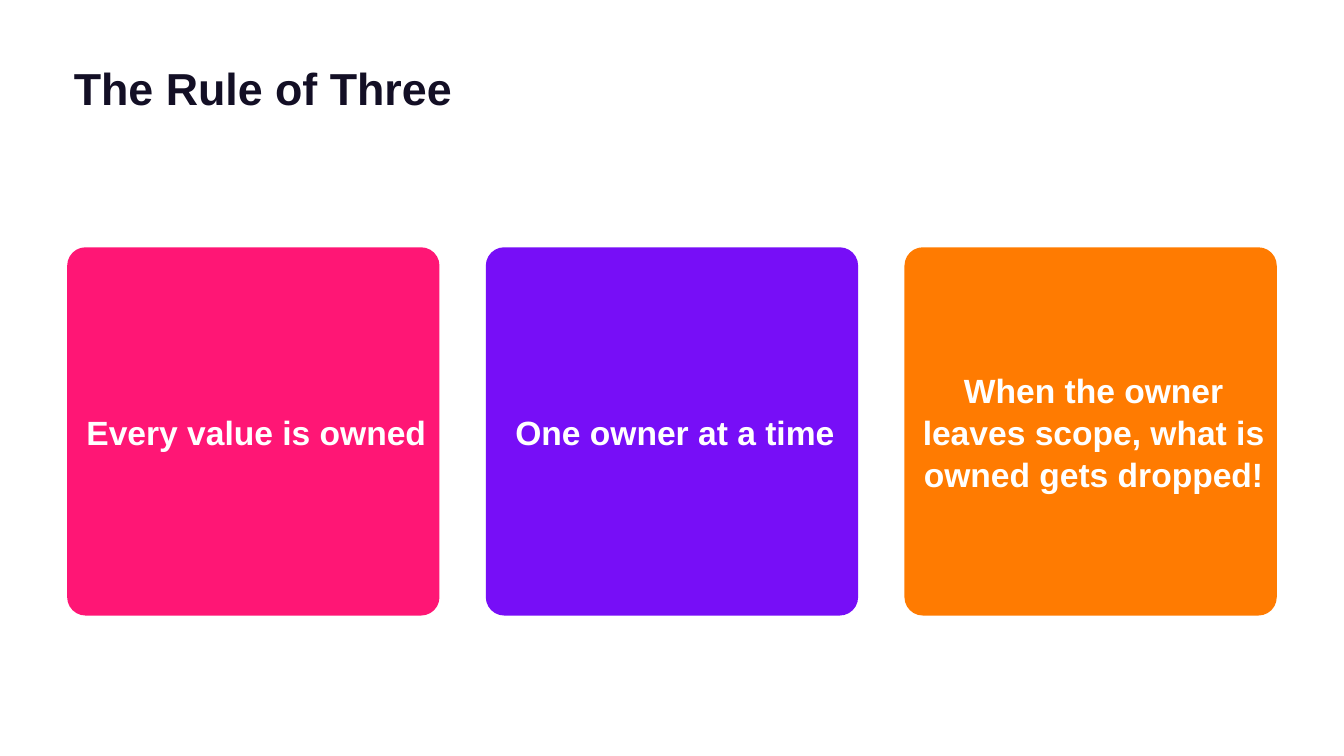
from dataclasses import dataclass

from pptx import Presentation
from pptx.dml.color import RGBColor
from pptx.enum.shapes import MSO_SHAPE
from pptx.enum.text import MSO_ANCHOR, PP_ALIGN
from pptx.util import Pt

ROUND = MSO_SHAPE.ROUNDED_RECTANGLE
TOP, MIDDLE = MSO_ANCHOR.TOP, MSO_ANCHOR.MIDDLE
LEFT, CENTER = PP_ALIGN.LEFT, PP_ALIGN.CENTER

EDGE, WIDE, GAP = 72, 398.88, 49.68
ROW, HIGH = 264.96, 394.56


@dataclass
class Card:
    text: str
    fill: str


CARDS = [
    Card("Every value is owned", "FF1675"),
    Card("One owner at a time", "770EF7"),
    Card("When the owner leaves scope, what is owned gets dropped!", "FF7B01"),
]


def color(code: str) -> RGBColor:
    return RGBColor.from_string(code)


def apply(item, values: dict) -> None:
    for name, value in values.items():
        setattr(item, name, value)


def write(shape, text: str, size: float, ink: str, frame: dict, para: dict) -> None:
    body = shape.text_frame
    apply(body, {"word_wrap": True, **frame})
    line = body.paragraphs[0]
    apply(line, para)
    run = line.add_run()
    run.text = text
    apply(run.font, {"name": "Arial", "size": Pt(size), "bold": True})
    run.font.color.rgb = color(ink)


def draw_card(slide, card: Card, left: float) -> None:
    shape = slide.shapes.add_shape(ROUND, Pt(left), Pt(ROW), Pt(WIDE), Pt(HIGH))
    shape.adjustments[0] = 0.05
    shape.shadow.inherit = False
    shape.fill.solid()
    shape.fill.fore_color.rgb = color(card.fill)
    shape.line.fill.background()
    frame = {"vertical_anchor": MIDDLE, "margin_left": Pt(12), "margin_right": Pt(5.5)}
    write(shape, card.text, 36, "FFFFFF", frame, {"alignment": CENTER, "line_spacing": 1.04})


def main() -> None:
    """Build the slide with its title and three rule cards."""
    deck = Presentation()
    apply(deck, {"slide_width": Pt(1440), "slide_height": Pt(810)})
    slide = deck.slides.add_slide(deck.slide_layouts[6])
    title = slide.shapes.add_textbox(Pt(EDGE), Pt(67.68), Pt(1295.28), Pt(64.08))
    write(title, "The Rule of Three", 48, "130F25", {"vertical_anchor": TOP},
          {"alignment": LEFT, "line_spacing": 0.9})
    for spot, card in enumerate(CARDS):
        draw_card(slide, card, EDGE + spot * (WIDE + GAP))
    deck.save("out.pptx")


if __name__ == "__main__":
    main()
